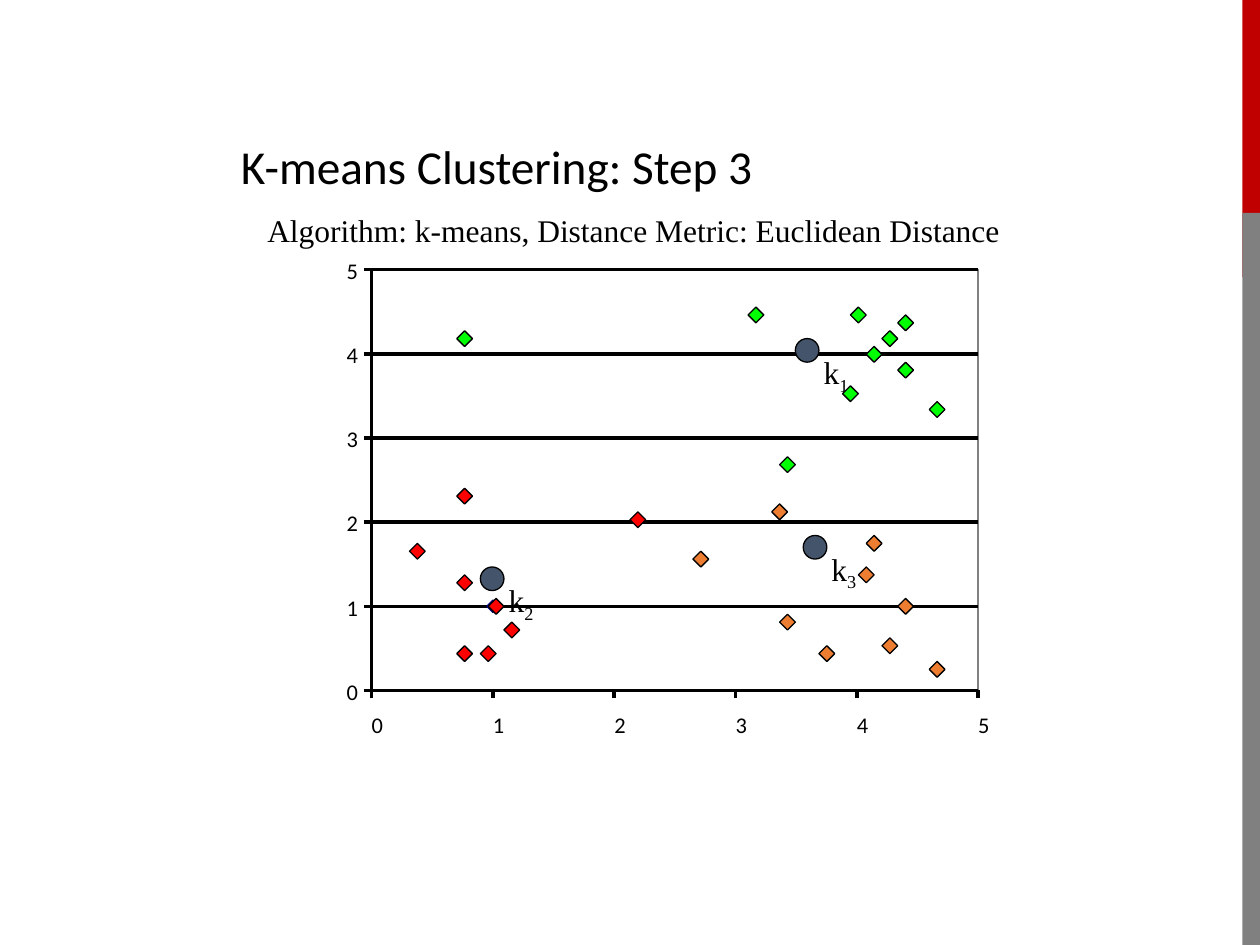
"""Build a slide showing step 3 of k-means clustering as a scatter plot on a 160 by 120 grid."""
from dataclasses import dataclass
from typing import NamedTuple, Optional

import pptx
import pptx.dml.color
import pptx.enum.shapes
import pptx.enum.text
import pptx.oxml
import pptx.oxml.ns
import pptx.util

COLUMNS, ROWS = 160, 120
SHAPE = pptx.enum.shapes.MSO_SHAPE
ALIGN = pptx.enum.text.PP_ALIGN
ANCHOR = pptx.enum.text.MSO_ANCHOR


@dataclass(frozen=True)
class Theme:
    text: str = "000000"
    outline: str = "000000"
    accent: str = "C00000"
    band: str = "808080"
    centroid: str = "44546A"
    seed: str = "000080"
    red: str = "FF0000"
    green: str = "00FF00"
    orange: str = "ED7D31"
    sans: str = "Calibri"
    serif: str = "Times New Roman"
    title_size: float = 27
    body_size: float = 18
    tick_size: float = 12.8
    marker_line: float = 0.75
    frame_line: float = 0.63


class Area(NamedTuple):
    column: float
    row: float
    columns: float
    rows: float


class Cluster(NamedTuple):
    color: str
    points: list[tuple[int, int]]


class Centroid(NamedTuple):
    column: int
    row: int
    index: str


class Span(NamedTuple):
    text: str
    baseline: int = 0


THEME = Theme()
PLOT = Area(47.2, 34.24, 77, 53.44)
AXIS_MAX = 5
BARS = [
    (Area(157.76, 0, 2.24, 35.2), THEME.accent),
    (Area(157.76, 27.04, 2.24, 92.96), THEME.band),
]
CENTROIDS = [Centroid(101, 43, "1"), Centroid(61, 72, "2"), Centroid(102, 68, "3")]
CLUSTERS = [
    Cluster(THEME.red, [(62, 76), (64, 79), (61, 82), (58, 73), (58, 62), (58, 82),
                        (52, 69), (80, 65)]),
    Cluster(THEME.green, [(58, 42), (108, 39), (114, 40), (112, 42), (110, 44), (114, 46),
                          (118, 51), (95, 39), (99, 58), (107, 49)]),
    Cluster(THEME.orange, [(99, 78), (104, 82), (109, 72), (98, 64), (88, 70), (114, 76),
                           (112, 81), (110, 68), (118, 84)]),
]


def cells(count: float) -> int:
    """Convert a count of grid cells to a length."""
    return pptx.util.Inches(count * 10 / COLUMNS)


def rgb(code: str) -> pptx.dml.color.RGBColor:
    """Turn a hexadecimal code into a colour."""
    return pptx.dml.color.RGBColor.from_string(code)


def style(shape, fill: Optional[str], line: Optional[str], width: float) -> None:
    """Set fill and outline, and drop the shadow."""
    shape.shadow.inherit = False
    if fill:
        shape.fill.solid()
        shape.fill.fore_color.rgb = rgb(fill)
    else:
        shape.fill.background()
    if line:
        shape.line.color.rgb = rgb(line)
        shape.line.width = pptx.util.Pt(width)
    else:
        shape.line.fill.background()


def draw_shape(shapes, kind, area: Area, fill: Optional[str] = None,
               line: Optional[str] = None, width: float = 0) -> None:
    """Draw one preset shape."""
    style(shapes.add_shape(kind, *map(cells, area)), fill, line, width)


def draw_line(shapes, start: tuple[float, float], end: tuple[float, float]) -> None:
    """Draw one hairline between two grid points."""
    kind = pptx.enum.shapes.MSO_CONNECTOR.STRAIGHT
    line = shapes.add_connector(kind, *map(cells, (*start, *end)))
    line.line.color.rgb = rgb(THEME.outline)
    line.line.width = pptx.util.Pt(0)
    effects = pptx.oxml.parse_xml(f"<a:effectLst {pptx.oxml.ns.nsdecls('a')}/>")
    line._element.spPr.append(effects)


def draw_text(shapes, area: Area, spans: list[Span], size: float, font: str,
              align=ALIGN.LEFT, wrap: bool = True, inset: bool = True):
    """Write one paragraph run by run and return its text frame."""
    frame = shapes.add_textbox(*map(cells, area)).text_frame
    frame.word_wrap = wrap
    if not inset:
        frame.margin_left = frame.margin_right = frame.margin_top = frame.margin_bottom = 0
    para = frame.paragraphs[0]
    para.alignment = align
    for span in spans:
        run = para.add_run()
        run.text = span.text
        run.font.size = pptx.util.Pt(size)
        run.font.name = font
        run.font.color.rgb = rgb(THEME.text)
        if span.baseline:
            run.font._element.set("baseline", str(span.baseline * 1000))
    return frame


def draw_tick_label(shapes, value: int, column: float, row: float) -> None:
    """Write one number beside an axis."""
    draw_text(shapes, Area(column, row, 1.44, 3.36), [Span(str(value))], THEME.tick_size,
              THEME.sans, ALIGN.CENTER, wrap=False, inset=False)


def draw_axes(shapes) -> None:
    """Draw the frame, grid lines, ticks and tick labels of the plot."""
    left, top = PLOT.column, PLOT.row
    right, bottom = left + PLOT.columns, top + PLOT.rows
    draw_shape(shapes, SHAPE.RECTANGLE, PLOT, line=THEME.band, width=THEME.frame_line)
    draw_line(shapes, (left, top), (left, bottom))
    for value in range(AXIS_MAX + 1):
        column = left + PLOT.columns * value / AXIS_MAX
        row = bottom - PLOT.rows * value / AXIS_MAX
        draw_line(shapes, (left, row), (right, row))
        draw_line(shapes, (left - 1, row), (left, row))
        draw_line(shapes, (column, bottom + 1), (column, bottom))
        draw_tick_label(shapes, value, left - 3.2, row - 1.6)
        draw_tick_label(shapes, value, column, bottom + 2.56)


def draw_seed(shapes) -> None:
    """Draw the small seed marker at the data point (1, 1)."""
    column = PLOT.column + PLOT.columns / AXIS_MAX
    row = PLOT.row + PLOT.rows * (1 - 1 / AXIS_MAX)
    reach = 0.8
    builder = shapes.build_freeform(cells(column), cells(row - reach))
    corners = [(column + reach, row), (column, row + reach), (column - reach, row)]
    builder.add_line_segments([tuple(map(cells, corner)) for corner in corners], close=True)
    style(builder.convert_to_shape(), THEME.seed, THEME.seed, THEME.frame_line)


def draw_centroid(shapes, centroid: Centroid) -> None:
    """Draw a centroid grouped with its label."""
    group = shapes.add_group_shape().shapes
    column, row, index = centroid
    draw_shape(group, SHAPE.OVAL, Area(column, row, 3, 3), THEME.centroid,
               THEME.outline, THEME.marker_line)
    draw_text(group, Area(column + 2, row + 1, 7, 6.4), [Span("k"), Span(index, -25)],
              THEME.body_size, THEME.serif)


def draw_cluster(shapes, cluster: Cluster) -> None:
    """Draw the diamonds of one cluster."""
    for column, row in cluster.points:
        draw_shape(shapes, SHAPE.DIAMOND, Area(column, row, 2, 2), cluster.color,
                   THEME.outline, THEME.marker_line)


def main() -> None:
    """Build and save the deck."""
    deck = pptx.Presentation()
    deck.slide_width, deck.slide_height = cells(COLUMNS), cells(ROWS)
    page = deck.slides.add_slide(deck.slide_layouts[6])
    shapes = page.shapes
    for area, color in BARS:
        draw_shape(shapes, SHAPE.RECTANGLE, area, color)
    draw_axes(shapes)
    draw_seed(shapes)
    title = draw_text(shapes, Area(29, 18, 102, 7), [Span("K-means Clustering: Step 3")],
                      THEME.title_size, THEME.sans)
    title.vertical_anchor = ANCHOR.MIDDLE
    title.paragraphs[0].line_spacing = 0.9
    draw_text(shapes, Area(31.84, 26, 97.28, 6.4),
              [Span("Algorithm: k-means, Distance Metric: Euclidean Distance")],
              THEME.body_size, THEME.serif, ALIGN.CENTER, wrap=False)
    for centroid in CENTROIDS:
        draw_centroid(shapes, centroid)
    for cluster in CLUSTERS:
        draw_cluster(shapes, cluster)
    deck.save("out.pptx")


if __name__ == "__main__":
    main()
